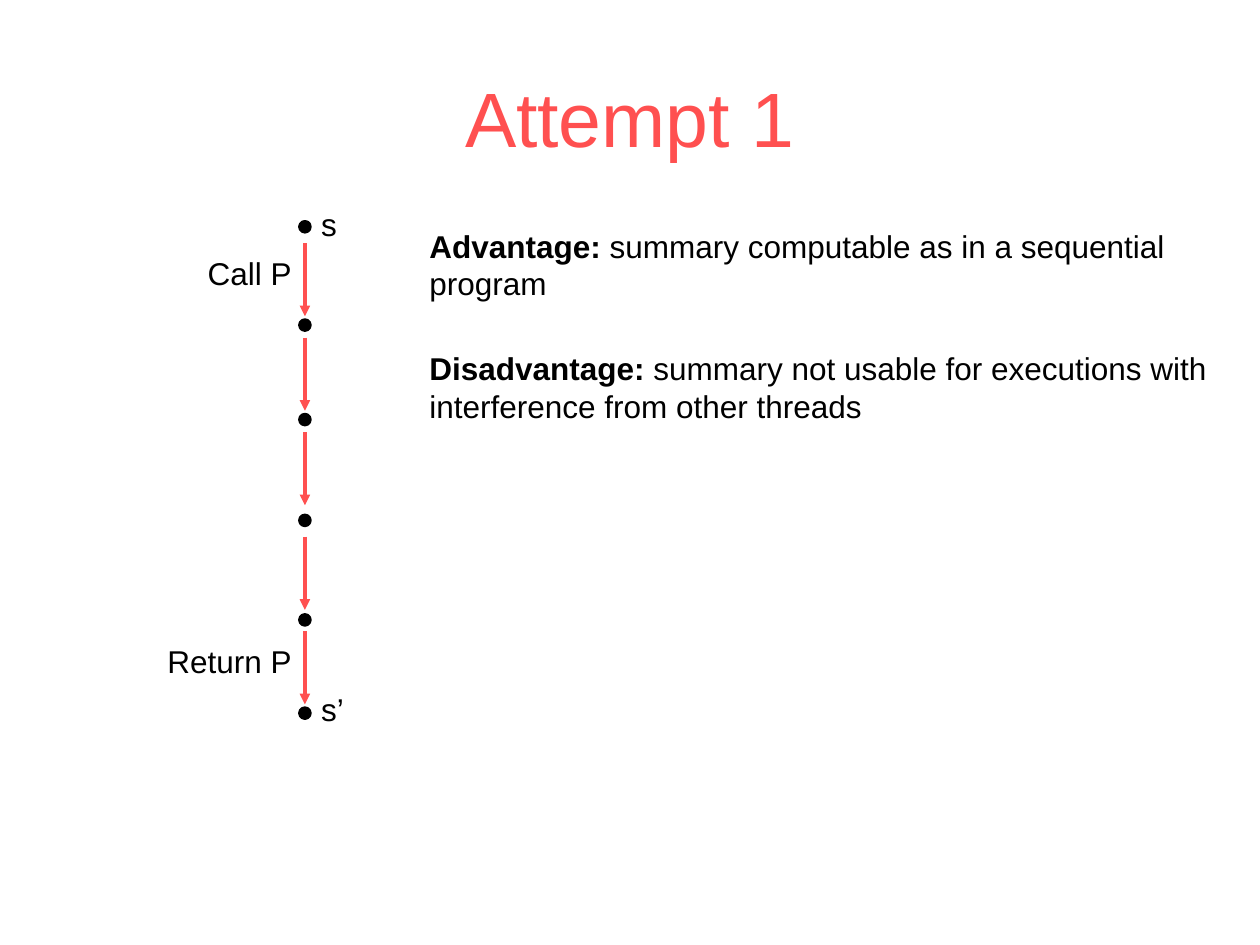
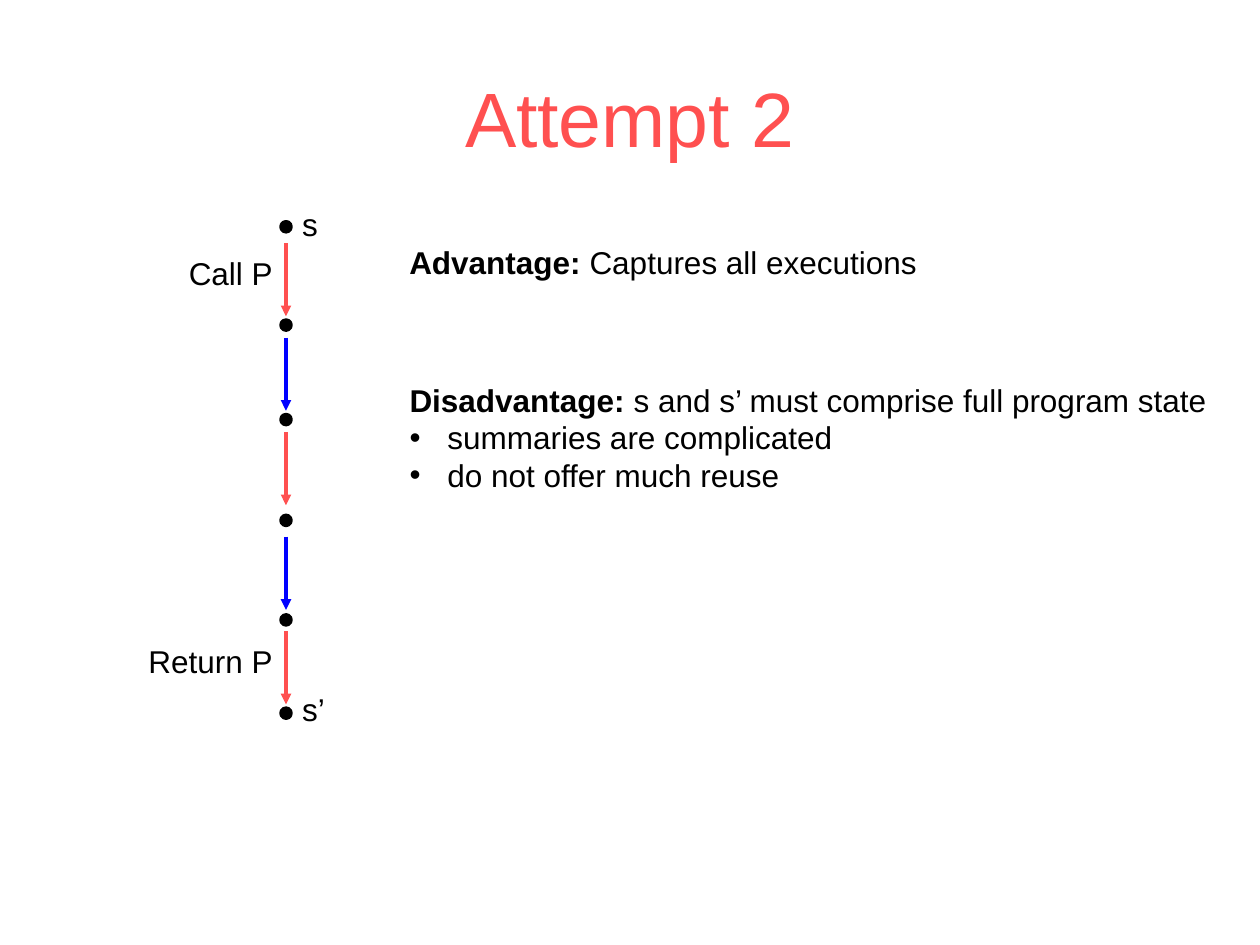
"""Build two slides that weigh two ways of summarising a procedure call."""
from pptx import Presentation
from pptx.dml.color import RGBColor as RGB
from pptx.enum.shapes import MSO_CONNECTOR as LINE, MSO_SHAPE as SHAPE
from pptx.enum.text import MSO_ANCHOR as ANCHOR, MSO_AUTO_SIZE as FIT, PP_ALIGN as ALIGN
from pptx.oxml.ns import qn
from pptx.util import Pt
from lxml.etree import SubElement as add_sub

PX = 9144
COLORS = {"red": "FF5050", "blue": "0000FF", "black": "000000"}


def box(*sides):
    """Turn px into EMU."""
    return [side * PX for side in sides]


def write(frame, lines, size=18, color="black", align=ALIGN.LEFT,
          anchor=ANCHOR.TOP, wrap=False):
    """Fill a frame; each line is a bold lead, plain text and a bullet mark."""
    frame.auto_size = FIT.NONE
    frame.word_wrap = wrap
    frame.vertical_anchor = anchor
    for i, (lead, rest, mark) in enumerate(lines):
        para = frame.paragraphs[0] if i == 0 else frame.add_paragraph()
        para.alignment = align
        para.space_before = Pt(0)
        props = para._p.get_or_add_pPr()
        indent = 30 * PX if mark else 0
        props.set("marL", str(indent))
        props.set("indent", str(-indent))
        if mark:
            add_sub(props, qn("a:buFont")).set("typeface", "Arial")
            add_sub(props, qn("a:buChar")).set("char", mark)
        else:
            add_sub(props, qn("a:buNone"))
        for text, bold in ((lead, True), (rest, False)):
            if text:
                run = para.add_run()
                run.text = text
                font = run.font
                font.name, font.size, font.bold = "Arial", Pt(size), bold
                font.color.rgb = RGB.from_string(COLORS[color])


DOTS = [176, 254, 329, 409, 488, 562]
ARROWS = [193, 268, 343, 426, 501]
LABELS = [("Call P", -87, 197, 86), ("Return P", -119, 505, 118),
          ("s", 3, 158, 32), ("s’", 3, 543, 38)]
SLIDES = [
    {"title": "Attempt 1", "layout": 5, "axis": 242, "hues": ["red"] * 5,
     "notes": [
         ((331, 175, 610, 70),
          [("Advantage: ", "summary computable as in a sequential", ""),
           ("", "program", "")]),
         ((331, 272, 644, 70),
          [("Disadvantage:", " summary not usable for executions with", ""),
           ("", "interference from other threads", "")])]},
    {"title": "Attempt 2", "layout": 1, "axis": 227,
     "hues": ["red", "blue", "red", "blue", "red"],
     "notes": [
         ((315, 188, 423, 40),
          [("Advantage: ", "Captures all executions", "")]),
         ((315, 297, 653, 100),
          [("Disadvantage: ", "s and s’ must comprise full program state", ""),
           ("", "summaries are complicated", "•"),
           ("", "do not offer much reuse", "•")])]},
]

deck = Presentation()
deck.slide_width, deck.slide_height = box(1000, 750)

for plan in SLIDES:
    slide = deck.slides.add_slide(deck.slide_layouts[plan["layout"]])
    shapes, axis = slide.shapes, plan["axis"]
    title = shapes.title
    title.left, title.top, title.width, title.height = box(50, 30, 900, 125)
    write(title.text_frame, [("", plan["title"], "")], size=44, color="red",
          align=ALIGN.CENTER, anchor=ANCHOR.MIDDLE, wrap=True)

    for top, hue in zip(ARROWS, plan["hues"]):
        arrow = shapes.add_connector(LINE.STRAIGHT, *box(axis, top, axis, top + 58))
        arrow.line.width = Pt(2)
        arrow.line.color.rgb = RGB.from_string(COLORS[hue])
        add_sub(arrow.line._get_or_add_ln(), qn("a:tailEnd")).set("type", "triangle")
        add_sub(arrow._element.spPr, qn("a:effectLst"))

    for top in DOTS:
        dot = shapes.add_shape(SHAPE.OVAL, *box(axis - 4, top, 8, 8))
        dot.shadow.inherit = False
        dot.fill.solid()
        dot.fill.fore_color.rgb = RGB.from_string(COLORS["black"])
        dot.line.color.rgb = RGB.from_string(COLORS["black"])
        dot.line.width = Pt(2)

    for text, shift, top, width in LABELS:
        label = shapes.add_textbox(*box(axis + shift, top, width, 40))
        write(label.text_frame, [("", text, "")])

    for place, lines in plan["notes"]:
        if any(mark for lead, rest, mark in lines):
            note = slide.placeholders[1]
            note.left, note.top, note.width, note.height = box(*place)
        else:
            note = shapes.add_textbox(*box(*place))
        write(note.text_frame, lines)

deck.save("out.pptx")
